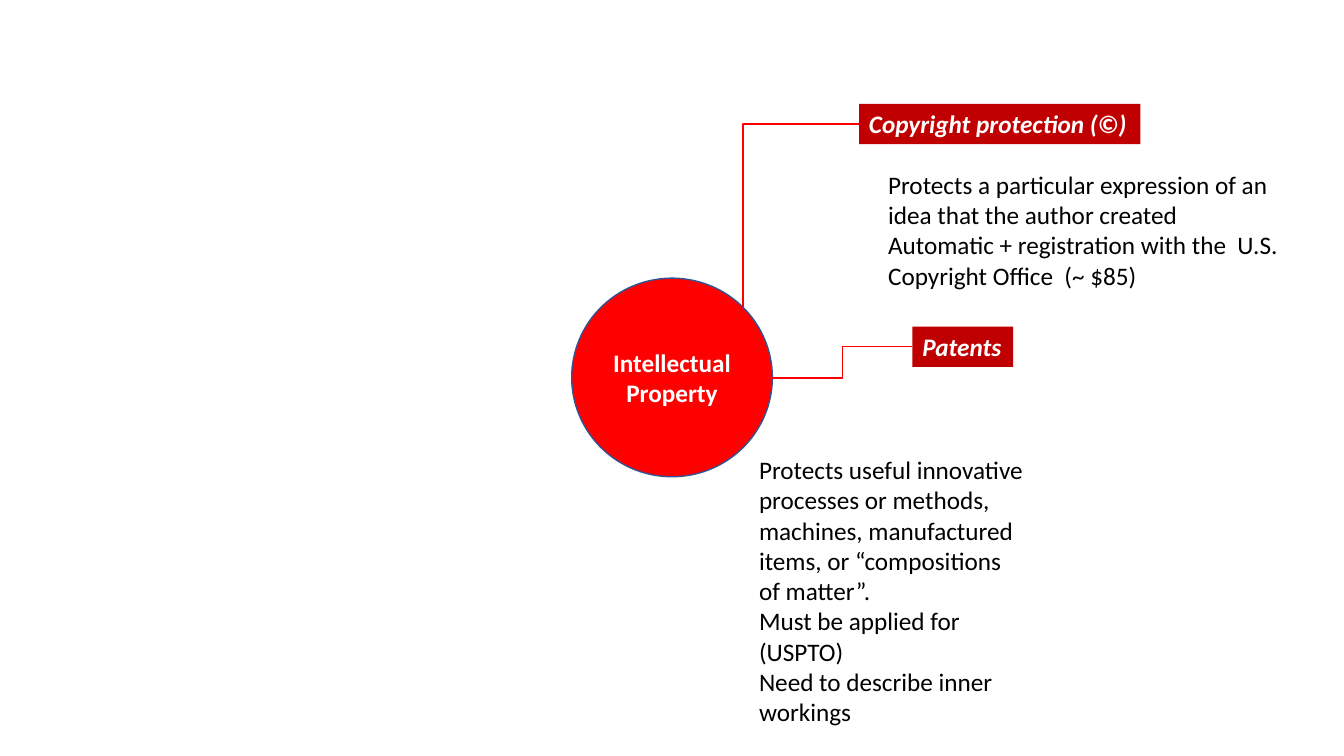
from lxml import etree
from pptx import Presentation
from pptx.dml.color import RGBColor
from pptx.enum import shapes, text
from pptx.oxml.ns import qn
from pptx.util import Inches, Pt

RED = RGBColor(0xFF, 0x00, 0x00)
DARK_RED = RGBColor(0xC0, 0x00, 0x00)
BLUE = RGBColor(0x32, 0x54, 0x91)
WHITE = RGBColor(0xFF, 0xFF, 0xFF)
BLACK = RGBColor(0x00, 0x00, 0x00)


def write(tf, lines, color, bold=False, italic=False, align=text.PP_ALIGN.LEFT):
    tf.text = "\n".join(lines)
    for p in tf.paragraphs:
        p.alignment = align
        p.font.name = "Calibri"
        p.font.size = Pt(18)
        p.font.bold = bold
        p.font.italic = italic
        p.font.color.rgb = color


prs = Presentation()
prs.slide_width, prs.slide_height = Inches(13.33), Inches(7.5)
s = prs.slides.add_slide(prs.slide_layouts[6])

# Central topic
topic = s.shapes.add_shape(shapes.MSO_SHAPE.OVAL, Inches(5.67), Inches(2.76),
                           Inches(1.99), Inches(1.97))
topic.shadow.inherit = False
topic.fill.solid()
topic.fill.fore_color.rgb = RED
topic.line.color.rgb = BLUE
topic.line.width = Pt(1)
topic.text_frame.vertical_anchor = text.MSO_ANCHOR.MIDDLE
write(topic.text_frame, ["Intellectual Property"], WHITE, bold=True,
      align=text.PP_ALIGN.CENTER)

# Branches: label, left, top, width, end of the elbow on the circle, elbow kind
LABEL_H = 0.4
branches = [
    ("Copyright protection (©)", 8.52, 1.03, 2.79, (7.37, 3.05), "bentConnector2"),
    ("Patents", 9.05, 3.24, 1, (7.66, 3.75), "bentConnector3"),
]
for label, x, y, w, (end_x, end_y), elbow in branches:
    sp = s.shapes.add_shape(shapes.MSO_SHAPE.RECTANGLE, Inches(x), Inches(y),
                            Inches(w), Inches(LABEL_H))
    sp.shadow.inherit = False
    sp.fill.solid()
    sp.fill.fore_color.rgb = DARK_RED
    sp.line.fill.background()
    tf = sp.text_frame
    tf.word_wrap = False
    tf.auto_size = text.MSO_AUTO_SIZE.SHAPE_TO_FIT_TEXT
    tf.vertical_anchor = text.MSO_ANCHOR.TOP
    write(tf, [label], WHITE, bold=True, italic=True)

    cxn = s.shapes.add_connector(shapes.MSO_CONNECTOR.ELBOW, Inches(x),
                                 Inches(y + LABEL_H / 2), Inches(end_x), Inches(end_y))
    cxn.line.color.rgb = RED
    cxn.line.width = Pt(1)
    sp_pr = cxn._element.spPr
    sp_pr.find(qn("a:prstGeom")).set("prst", elbow)
    etree.SubElement(sp_pr, qn("a:effectLst"))

# Explanations
explanations = [
    (7.43, 4.46, 2.86, 2.83, [
        "Protects useful innovative processes or methods, machines, "
        "manufactured items, or “compositions of matter”.",
        "Must be applied for (USPTO)",
        "Need to describe inner workings",
    ]),
    (8.71, 1.63, 4.29, 1.31, [
        "Protects a particular expression of an idea that the author created",
        "Automatic + registration with the  U.S. Copyright Office  (~ $85)",
    ]),
]
for x, y, w, h, lines in explanations:
    tf = s.shapes.add_textbox(Inches(x), Inches(y), Inches(w), Inches(h)).text_frame
    tf.word_wrap = True
    tf.auto_size = text.MSO_AUTO_SIZE.SHAPE_TO_FIT_TEXT
    write(tf, lines, BLACK)

prs.save("out.pptx")
